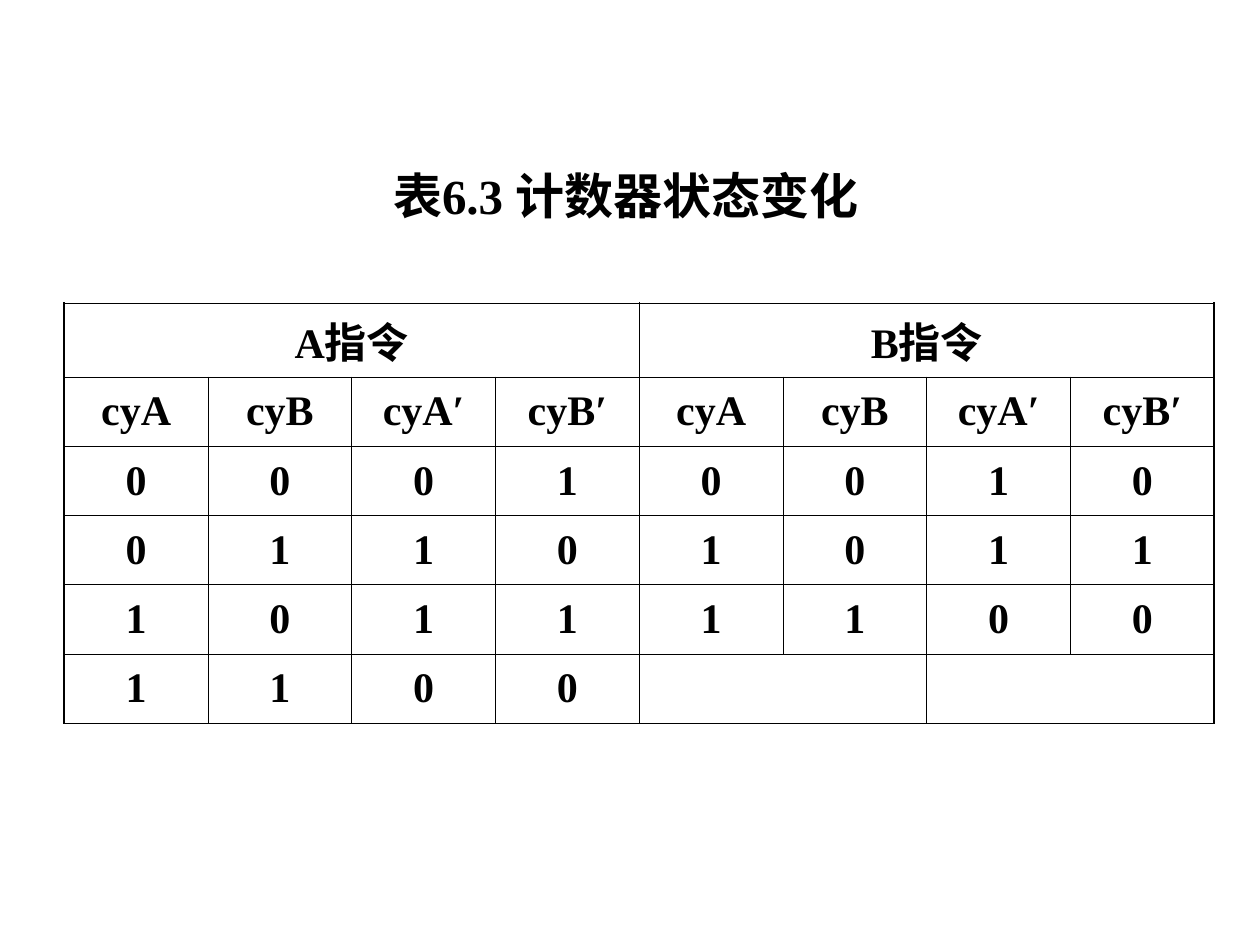
from dataclasses import dataclass
from typing import NamedTuple

from lxml.etree import SubElement
from pptx import Presentation
from pptx.dml.color import RGBColor
from pptx.enum.text import MSO_ANCHOR, MSO_AUTO_SIZE, PP_ALIGN
from pptx.oxml.ns import qn
from pptx.util import Inches, Pt


@dataclass(frozen=True)
class Theme:
    font: str = "Times New Roman"
    ink: str = "000000"
    title_size: int = 28
    cell_size: int = 24
    inner_line: float = 0.45
    outer_line: float = 1.08


class Entry(NamedTuple):
    text: str
    span: int = 1


class Box(NamedTuple):
    left: float
    top: float
    width: float
    height: float


THEME = Theme()
SLIDE_WIDTH, SLIDE_HEIGHT = Inches(10), Inches(7.5)
TITLE_BOX = Box(0.043, 0.175, 0.917, 0.075)
TABLE_BOX = Box(0.051, 0.321, 0.913, 0.44)
COLUMNS = 8

COUNTERS = ("cyA", "cyB", "cyA′", "cyB′")
ROWS = [
    [Entry("A指令", 4), Entry("B指令", 4)],
    [Entry(name) for name in COUNTERS * 2],
    [Entry(digit) for digit in "00010010"],
    [Entry(digit) for digit in "01101011"],
    [Entry(digit) for digit in "10111100"],
    [Entry(digit) for digit in "1100"] + [Entry("", 2)] * 2,
]


def place(box: Box) -> tuple[int, int, int, int]:
    return (
        int(box.left * SLIDE_WIDTH),
        int(box.top * SLIDE_HEIGHT),
        int(box.width * SLIDE_WIDTH),
        int(box.height * SLIDE_HEIGHT),
    )


def format_paragraph(paragraph, size: int) -> None:
    paragraph.alignment = PP_ALIGN.CENTER
    font = paragraph.font
    font.name = THEME.font
    font.size = Pt(size)
    font.bold = True
    font.color.rgb = RGBColor.from_string(THEME.ink)


def draw_title(slide, text: str) -> None:
    title = slide.shapes.title
    title.left, title.top, title.width, title.height = place(TITLE_BOX)
    frame = title.text_frame
    frame.text = text
    frame.word_wrap = True
    frame.auto_size = MSO_AUTO_SIZE.NONE
    frame.vertical_anchor = MSO_ANCHOR.TOP
    frame.margin_right = Inches(0.2)
    paragraph = frame.paragraphs[0]
    paragraph.line_spacing = 0.9
    format_paragraph(paragraph, THEME.title_size)


def draw_borders(cell, row: int, first: int, last: int) -> None:
    outer_sides = {
        "a:lnL": first == 0,
        "a:lnR": last == COLUMNS - 1,
        "a:lnT": row == 0,
        "a:lnB": row == len(ROWS) - 1,
    }
    properties = cell._tc.get_or_add_tcPr()
    for side, is_outer in outer_sides.items():
        width = THEME.outer_line if is_outer else THEME.inner_line
        line = SubElement(properties, qn(side), w=str(int(Pt(width))))
        fill = SubElement(line, qn("a:solidFill"))
        SubElement(fill, qn("a:srgbClr"), val=THEME.ink)


def draw_entry(table, entry: Entry, row: int, first: int) -> None:
    last = first + entry.span - 1
    cell = table.cell(row, first)
    if entry.span > 1:
        cell.merge(table.cell(row, last))
    cell.text = entry.text
    cell.vertical_anchor = MSO_ANCHOR.MIDDLE
    format_paragraph(cell.text_frame.paragraphs[0], THEME.cell_size)
    for column in range(first, last + 1):
        part = table.cell(row, column)
        draw_borders(part, row, first, last)
        part.fill.background()


def draw_table(slide) -> None:
    frame = slide.shapes.add_table(len(ROWS), COLUMNS, *place(TABLE_BOX))
    table = frame.table
    table.first_row = False
    table.horz_banding = False
    for row, entries in enumerate(ROWS):
        column = 0
        for entry in entries:
            draw_entry(table, entry, row, column)
            column += entry.span


def main() -> None:
    presentation = Presentation()
    presentation.slide_width = SLIDE_WIDTH
    presentation.slide_height = SLIDE_HEIGHT
    slide = presentation.slides.add_slide(presentation.slide_layouts[5])
    draw_title(slide, "表6.3 计数器状态变化")
    draw_table(slide)
    presentation.save("out.pptx")


if __name__ == "__main__":
    main()
